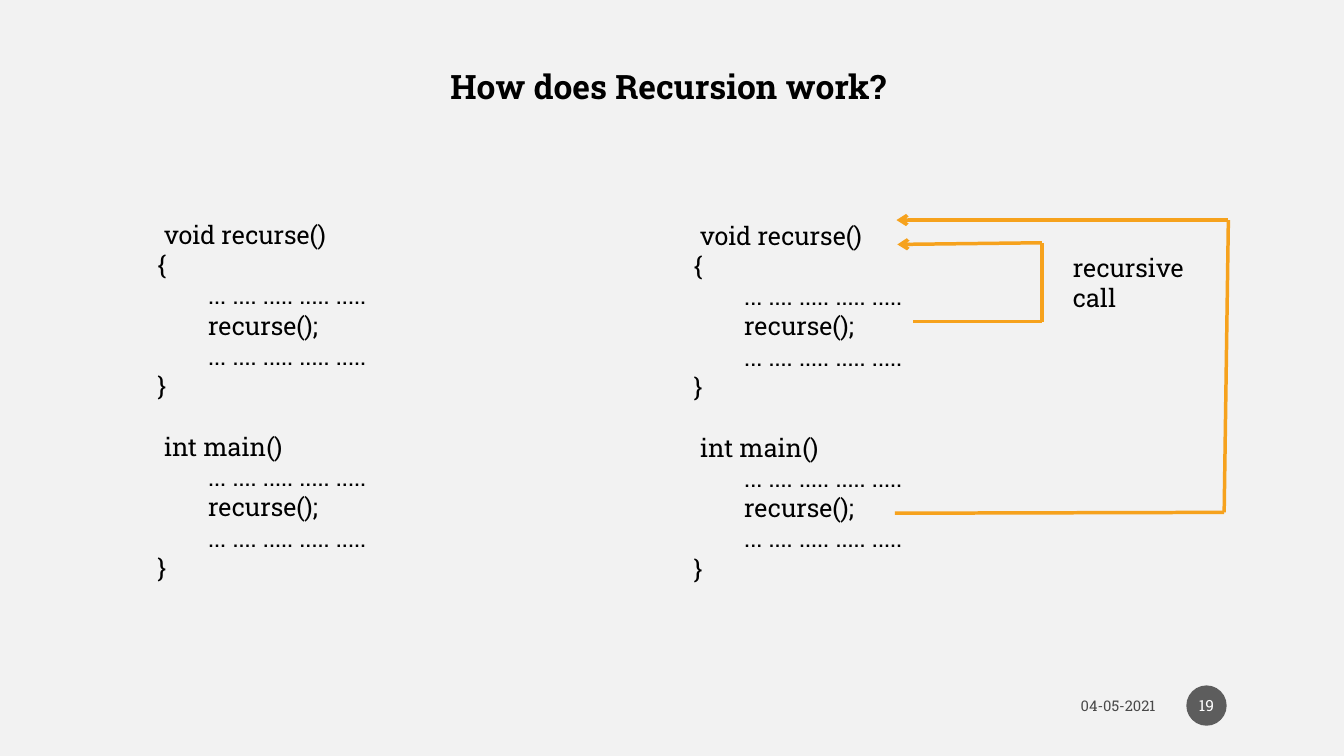
from itertools import pairwise

from pptx import Presentation
from pptx.dml.color import RGBColor as RGB
from pptx.enum.shapes import MSO_CONNECTOR as LINK, MSO_SHAPE as SHAPE
from pptx.enum.text import MSO_ANCHOR as ANCHOR, MSO_AUTO_SIZE as FIT, PP_ALIGN as ALIGN
from pptx.oxml.ns import qn
from pptx.oxml.xmlchemy import OxmlElement as Node
from pptx.util import Inches, Pt

FONT = "Roboto Slab"
BACK = RGB(0xF2, 0xF2, 0xF2)
BLACK = RGB(0, 0, 0)
WHITE = RGB(0xFF, 0xFF, 0xFF)
GREY = RGB(0x49, 0x49, 0x49)
DISC = RGB(0x5D, 0x5D, 0x5D)
GOLD = RGB(0xF6, 0xA2, 0x1D)

# The slide is a grid of 160 columns and 90 rows of square cells
COLS, ROWS = 160, 90
WIDE, HIGH = Inches(13.33), Inches(7.5)
CELL = HIGH / ROWS

# Code lines: indent in cells, text, blank line above
DOTS = "... .... ..... ..... ....."
BODY = [(6, DOTS, False), (6, "recurse();", False), (6, DOTS, False), (0, "}", False)]
CODE = [(0.75, "void recurse()", False), (0, "{", False), *BODY,
        (0.75, "int main()", True), *BODY]


def grid(*cells):
    return [round(cell * CELL) for cell in cells]


def style(para, size, color=BLACK, bold=False, align=ALIGN.LEFT):
    para.alignment = align
    for run in para.runs:
        font = run.font
        font.name, font.size, font.bold = FONT, Pt(size), bold
        font.color.rgb = color


def write(slide, box, text, size, color=BLACK, align=ALIGN.LEFT, anchor=ANCHOR.TOP):
    frame = slide.shapes.add_textbox(*grid(*box)).text_frame
    frame.word_wrap = True
    frame.vertical_anchor = anchor
    frame.text = text
    for para in frame.paragraphs:
        style(para, size, color, align=align)
    return frame


def head(slide, box, text):
    title = slide.shapes.title
    title.left, title.top, title.width, title.height = grid(*box)
    frame = title.text_frame
    frame.text = text
    frame.word_wrap = True
    frame.auto_size = FIT.NONE
    frame.vertical_anchor = ANCHOR.TOP
    style(frame.paragraphs[0], 24, bold=True)


def code(slide, box):
    frame = write(slide, box, "\n".join(text for _, text, _ in CODE), 18)
    for para, (indent, _, gap) in zip(frame.paragraphs, CODE):
        para._p.get_or_add_pPr().set("marL", str(grid(indent)[0]))
        if gap:
            para.space_before = Pt(21.8)


def route(slide, box, points):
    """Join points, given relative to the box, and end in an arrowhead."""
    left, top = box[:2]
    spots = [grid(left + x, top + y) for x, y in points]
    for start, end in pairwise(spots):
        link = slide.shapes.add_connector(LINK.STRAIGHT, *start, *end)
        link.line.color.rgb = GOLD
        link.line.width = Pt(2.5)
        link._element.spPr.append(Node("a:effectLst"))
    tip = Node("a:tailEnd")
    tip.set("type", "arrow")
    link._element.spPr.find(qn("a:ln")).append(tip)


def calls(slide, box):
    left, top = box[:2]
    code(slide, box)
    # Call from inside the function
    route(slide, box, [(27.3, 12.7), (42.6, 12.7), (42.6, 3.3), (25.4, 3.5)])
    # Call from main
    route(slide, box, [(25.1, 35.5), (64.3, 35.4), (64.8, 0.6), (25.3, 0.6)])
    write(slide, (left + 45.1, top + 3.8, 17.9, 8.5), "recursive\ncall", 18)


def foot(slide, box, date, number):
    left, top, width, height = box
    # Date
    write(slide, (left, top, width - 2.5 - height, height), date, 10.5, GREY,
          ALIGN.RIGHT, ANCHOR.MIDDLE)
    # Page number
    disc = slide.shapes.add_shape(
        SHAPE.OVAL, *grid(left + width - height, top, height, height))
    disc.shadow.inherit = False
    disc.fill.solid()
    disc.fill.fore_color.rgb = DISC
    disc.line.fill.background()
    frame = disc.text_frame
    frame.margin_left = frame.margin_right = Inches(0.02)
    frame.vertical_anchor = ANCHOR.MIDDLE
    frame.text = number
    style(frame.paragraphs[0], 11, WHITE, align=ALIGN.CENTER)


deck = Presentation()
deck.slide_width, deck.slide_height = WIDE, HIGH
page = deck.slides.add_slide(deck.slide_layouts[5])
page.background.fill.solid()
page.background.fill.fore_color.rgb = BACK

head(page, (52.4, 7.2, 59.2, 6), "How does Recursion work?")
code(page, (17.6, 25.5, 33.6, 45))
calls(page, (81.4, 25.6, 33.6, 45))
foot(page, (102.6, 81.6, 43.4, 4.8), "04-05-2021", "19")

deck.save("out.pptx")
